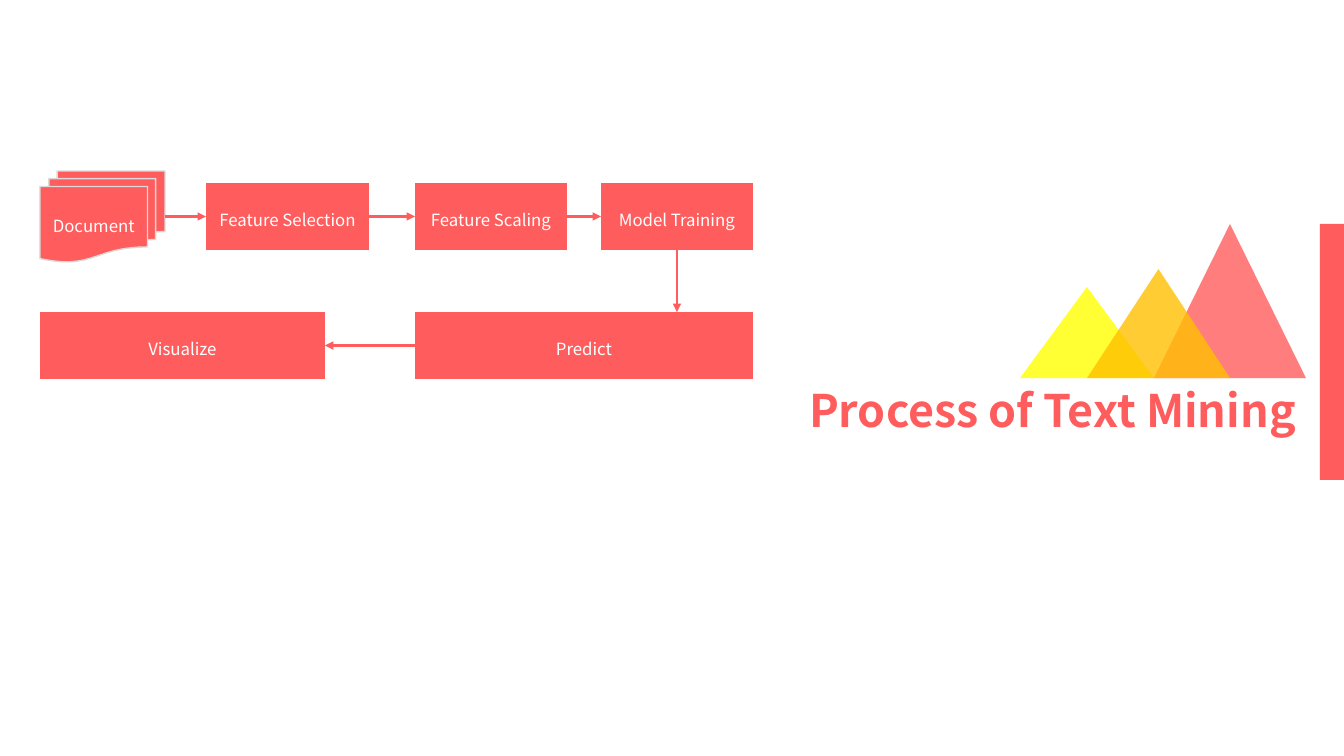
from lxml.etree import SubElement
from pptx import Presentation
from pptx.dml.color import RGBColor
from pptx.enum.shapes import MSO_CONNECTOR, MSO_SHAPE
from pptx.enum.text import MSO_ANCHOR, PP_ALIGN
from pptx.oxml.ns import qn
from pptx.util import Pt

# Content, lengths in px
FONT = "Noto Sans CJK SC"
COLORS = {"red": "FF5D5D", "yellow": "FFFF00", "orange": "FFC000",
          "grey": "D9D9D9", "white": "FFFFFF"}
SLIDE_SIZE = (1344, 756)
TITLE = "Process of Text Mining"
TITLE_BOX = (754, 378, 552, 71)
SIDE_BAR = (1320, 224, 24, 256)
MOUNTAIN_BASE = 378
MOUNTAINS = [  # left, width, height, colour
    (1154, 152, 154, "red"),
    (1020, 134, 91, "yellow"),
    (1087, 143, 109, "orange"),
]
DOCUMENT = ("Document", 40, 171, 125, 91)
STEP_HEIGHT = 67
STEP_ROWS = [  # top, then label, left and width of each step
    (183, [("Feature Selection", 206, 163), ("Feature Scaling", 415, 152),
           ("Model Training", 601, 152)]),
    (312, [("Predict", 415, 338), ("Visualize", 40, 285)]),
]
TOP, LEFT, BOTTOM, RIGHT = range(4)
ARROWS = [  # from step, side, to step, side
    ("Document", RIGHT, "Feature Selection", LEFT),
    ("Feature Selection", RIGHT, "Feature Scaling", LEFT),
    ("Feature Scaling", RIGHT, "Model Training", LEFT),
    ("Model Training", BOTTOM, "Predict", TOP),
    ("Predict", LEFT, "Visualize", RIGHT),
]


def px(length):
    return round(length * 914400 / 100.8)


def color(name):
    return RGBColor.from_string(COLORS[name])


def write(shape, text, size=12, fill="white", bold=False,
          align=PP_ALIGN.CENTER, anchor=MSO_ANCHOR.MIDDLE, spacing=1.3):
    frame = shape.text_frame
    frame.word_wrap = True
    frame.vertical_anchor = anchor
    para = frame.paragraphs[0]
    para.alignment = align
    para.line_spacing = spacing
    span = para.add_run()
    span.text = text
    span.font.size = Pt(size)
    span.font.bold = bold
    span.font.color.rgb = color(fill)
    span.font.name = FONT
    SubElement(span.font._element, qn("a:ea")).set("typeface", FONT)


def draw(kind, left, top, width, height, fill="red", outline=None, opacity=None):
    shape = page.shapes.add_shape(kind, px(left), px(top), px(width), px(height))
    shape.shadow.inherit = False
    shape.fill.solid()
    shape.fill.fore_color.rgb = color(fill)
    if opacity:
        tint = shape._element.spPr.find(".//" + qn("a:srgbClr"))
        SubElement(tint, qn("a:alpha")).set("val", str(opacity * 1000))
    if outline:
        shape.line.color.rgb = color(outline)
        shape.line.width = Pt(1)
    else:
        shape.line.fill.background()
    return shape


def side_point(shape, side):
    across = {LEFT: 0, RIGHT: shape.width}.get(side, shape.width // 2)
    down = {TOP: 0, BOTTOM: shape.height}.get(side, shape.height // 2)
    return shape.left + across, shape.top + down


def connect(source, source_side, target, target_side):
    start = side_point(source, source_side)
    end = side_point(target, target_side)
    centred = start[0] == end[0] or source_side in (LEFT, RIGHT)
    if not centred:
        end = (start[0], end[1])  # drop straight down
    arrow = page.shapes.add_connector(MSO_CONNECTOR.STRAIGHT, *start, *end)
    arrow.begin_connect(source, source_side)
    if centred:
        arrow.end_connect(target, target_side)
    arrow.line.color.rgb = color("red")
    arrow.line.width = Pt(1.5)
    SubElement(arrow.line._get_or_add_ln(), qn("a:tailEnd")).set("type", "triangle")
    SubElement(arrow._element.spPr, qn("a:effectLst"))


deck = Presentation()
deck.slide_width, deck.slide_height = map(px, SLIDE_SIZE)
page = deck.slides.add_slide(deck.slide_layouts[6])

# Side bar, mountains and title
draw(MSO_SHAPE.RECTANGLE, *SIDE_BAR)
for left, width, height, fill in MOUNTAINS:
    draw(MSO_SHAPE.ISOSCELES_TRIANGLE, left, MOUNTAIN_BASE - height, width, height,
         fill=fill, opacity=80)
title = page.shapes.add_textbox(*map(px, TITLE_BOX))
write(title, TITLE, size=32, fill="red", bold=True, align=PP_ALIGN.RIGHT,
      anchor=MSO_ANCHOR.TOP, spacing=1.0)

# Process steps
label, *place = DOCUMENT
steps = {label: draw(MSO_SHAPE.FLOWCHART_MULTIDOCUMENT, *place, outline="grey")}
for top, row in STEP_ROWS:
    for label, left, width in row:
        steps[label] = draw(MSO_SHAPE.FLOWCHART_PROCESS, left, top, width, STEP_HEIGHT)
for label, box in steps.items():
    write(box, label)

# Arrows between steps
for source, source_side, target, target_side in ARROWS:
    connect(steps[source], source_side, steps[target], target_side)

deck.save("out.pptx")
